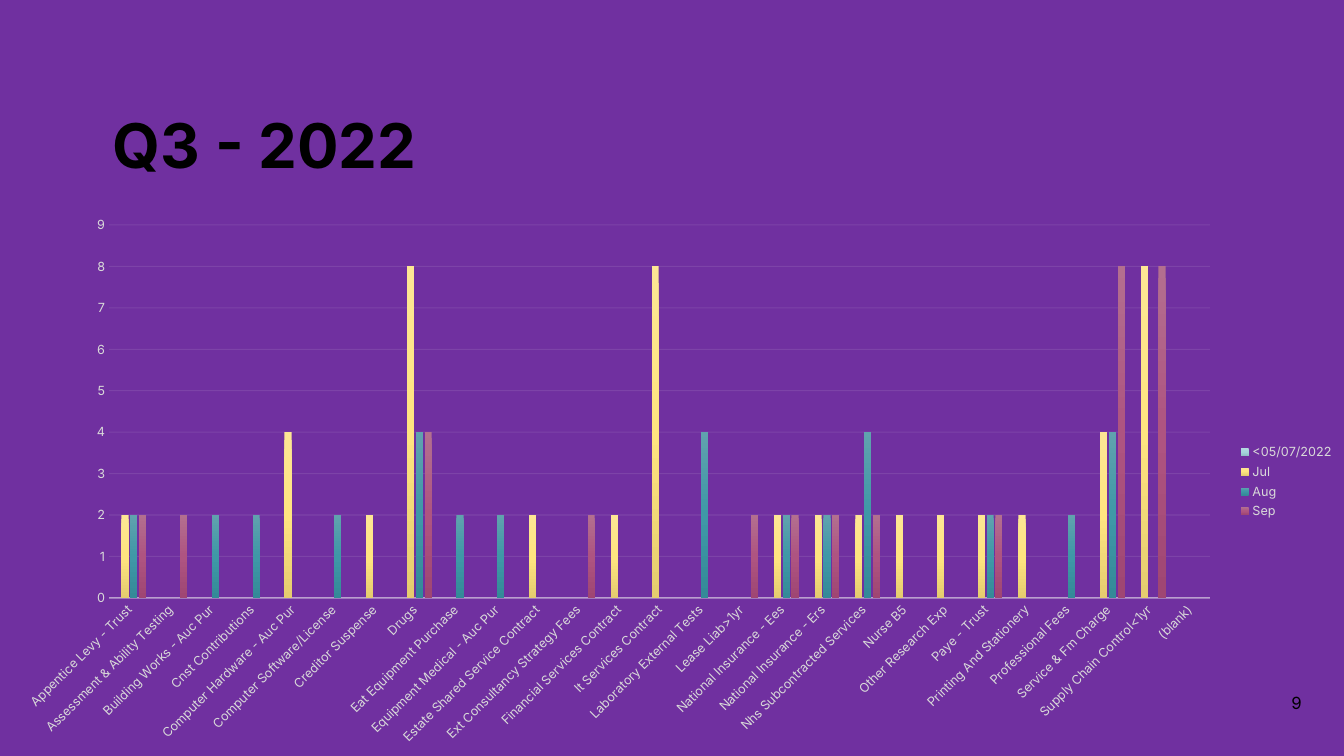
import pptx
import pptx.chart.data
import pptx.dml.color
import pptx.enum.chart
import pptx.enum.text
import pptx.oxml
import pptx.oxml.ns
import pptx.util

PX = 9144000 / 1008  # EMU in one px
FONT = "Inter"
HUES = {"back": "7030A0", "ink": "000000", "label": "D9D9D9", "line": "F2F2F2"}
SPACE = pptx.oxml.ns.nsdecls("a", "c")
qn = pptx.oxml.ns.qn
RGB = pptx.dml.color.RGBColor.from_string
ALIGN = pptx.enum.text.PP_ALIGN
ANCHOR = pptx.enum.text.MSO_ANCHOR


def write(shape, text, box, size, bold=False, align=ALIGN.LEFT,
          anchor=ANCHOR.MIDDLE, inset=0, gap=1.0):
    shape.left, shape.top, shape.width, shape.height = [round(n * PX) for n in box]
    frame = shape.text_frame
    frame.word_wrap = True
    frame.auto_size = pptx.enum.text.MSO_AUTO_SIZE.NONE
    frame.vertical_anchor = anchor
    frame.margin_left = frame.margin_right = round(inset * PX)
    frame.margin_top = frame.margin_bottom = round(inset / 2 * PX)
    para = frame.paragraphs[0]
    para.alignment, para.line_spacing = align, gap
    run = para.add_run()
    run.text = text
    run.font.name, run.font.size, run.font.bold = FONT, pptx.util.Pt(size), bold
    run.font.color.rgb = RGB(HUES["ink"])


def rule(line, width, alpha):
    line.width = pptx.util.Pt(width)
    line.color.rgb = RGB(HUES["line"])
    tone = line.fill._xPr.find(".//" + qn("a:srgbClr"))
    tone.append(pptx.oxml.parse_xml(f'<a:alpha {SPACE} val="{alpha * 1000}"/>'))


# Slide
deck = pptx.Presentation()
deck.slide_width, deck.slide_height = round(1344 * PX), round(756 * PX)
slide = deck.slides.add_slide(deck.slide_layouts[5])
slide.background.fill.solid()
slide.background.fill.fore_color.rgb = RGB(HUES["back"])

# Title and page number
write(slide.shapes.title, "Q3 - 2022", (113, 110, 861, 72), 44, bold=True,
      anchor=ANCHOR.BOTTOM, gap=0.9)
page = slide.shapes.add_textbox(0, 0, 0, 0)
write(page, "9", (1267, 693, 45, 20), 12, align=ALIGN.RIGHT, inset=10)

# Counts by month: Jul, Aug, Sep
NIL = None
COUNTS = {
    "Appentice Levy - Trust": (2, 2, 2),
    "Assessment & Ability Testing": (NIL, NIL, 2),
    "Building Works - Auc Pur": (NIL, 2, NIL),
    "Cnst Contributions": (NIL, 2, NIL),
    "Computer Hardware - Auc Pur": (4, NIL, NIL),
    "Computer Software/License": (NIL, 2, NIL),
    "Creditor Suspense": (2, NIL, NIL),
    "Drugs": (8, 4, 4),
    "Eat Equipment Purchase": (NIL, 2, NIL),
    "Equipment Medical - Auc Pur": (NIL, 2, NIL),
    "Estate Shared Service Contract": (2, NIL, NIL),
    "Ext Consultancy Strategy Fees": (NIL, NIL, 2),
    "Financial Services Contract": (2, NIL, NIL),
    "It Services Contract": (8, NIL, NIL),
    "Laboratory External Tests": (NIL, 4, NIL),
    "Lease Liab>1yr": (NIL, NIL, 2),
    "National Insurance - Ees": (2, 2, 2),
    "National Insurance - Ers": (2, 2, 2),
    "Nhs Subcontracted Services": (2, 4, 2),
    "Nurse B5": (2, NIL, NIL),
    "Other Research Exp": (2, NIL, NIL),
    "Paye - Trust": (2, 2, 2),
    "Printing And Stationery": (2, NIL, NIL),
    "Professional Fees": (NIL, 2, NIL),
    "Service & Fm Charge": (4, 4, 8),
    "Supply Chain Control<1yr": (8, NIL, 8),
    "(blank)": (NIL, NIL, NIL),
}
FADES = {
    "<05/07/2022": ("B4DAE0", "A7D6DD", "91C0C8"),
    "Jul": ("FDE694", "FFE480", "E5CC6F"),
    "Aug": ("60A2AE", "3F98A7", "348A98"),
    "Sep": ("B36F8F", "AE5481", "9F4673"),
}
data = pptx.chart.data.CategoryChartData()
data.categories = list(COUNTS)
months = [[NIL] * len(COUNTS), *zip(*COUNTS.values())]
for name, vals in zip(FADES, months):
    data.add_series(name, vals)

# Chart
kind = pptx.enum.chart.XL_CHART_TYPE.COLUMN_CLUSTERED
box = [round(n * PX) for n in (0, 207, 1344, 549)]
chart = slide.shapes.add_chart(kind, *box, data).chart
chart.has_title = False
chart.font.name, chart.font.size = FONT, pptx.util.Pt(10)
plot = chart.plots[0]
plot.gap_width, plot.overlap, plot.vary_by_categories = 100, -24, False

# Column gradients, light at the top
for series, tones in zip(plot.series, FADES.values()):
    stops = "".join(f'<a:gs pos="{n * 50000}"><a:srgbClr val="{tone}"/></a:gs>'
                    for n, tone in enumerate(tones))
    series.format.fill.gradient()
    props = series.format.fill._xPr
    props.replace(props.find(qn("a:gradFill")), pptx.oxml.parse_xml(
        f'<a:gradFill {SPACE}><a:gsLst>{stops}</a:gsLst>'
        '<a:lin ang="5400000" scaled="0"/></a:gradFill>'))

# Axes
cats, scale = chart.category_axis, chart.value_axis
none = pptx.enum.chart.XL_TICK_MARK.NONE
for axis in (cats, scale):
    axis.major_tick_mark = axis.minor_tick_mark = none
scale.minimum_scale, scale.maximum_scale, scale.major_unit = 0, 9, 1
scale.has_major_gridlines = True
scale.format.line.fill.background()
rule(scale.major_gridlines.format.line, 0.75, 10)
rule(cats.format.line, 1, 54)

# Legend and small type
chart.has_legend = True
chart.legend.position = pptx.enum.chart.XL_LEGEND_POSITION.RIGHT
chart.legend.include_in_layout = False
for font in (cats.tick_labels.font, scale.tick_labels.font, chart.legend.font):
    font.name, font.size = FONT, pptx.util.Pt(9)
    font.color.rgb = RGB(HUES["label"])
slant = cats._element.find(qn("c:txPr")).find(qn("a:bodyPr"))
slant.set("rot", "-2700000")
slant.set("vert", "horz")

# Inner plot area, as shares of the chart
area = chart._chartSpace.find(".//" + qn("c:plotArea"))
for old in area.findall(qn("c:layout")):
    area.remove(old)
spots = {"x": 109 / 1344, "y": 18 / 549, "w": 1101 / 1344, "h": 373 / 549}
marks = "".join(f'<c:{key} val="{val:.4f}"/>' for key, val in spots.items())
area.insert(0, pptx.oxml.parse_xml(
    f'<c:layout {SPACE}><c:manualLayout><c:layoutTarget val="inner"/>'
    f'<c:xMode val="edge"/><c:yMode val="edge"/>{marks}</c:manualLayout></c:layout>'))

deck.save("out.pptx")
